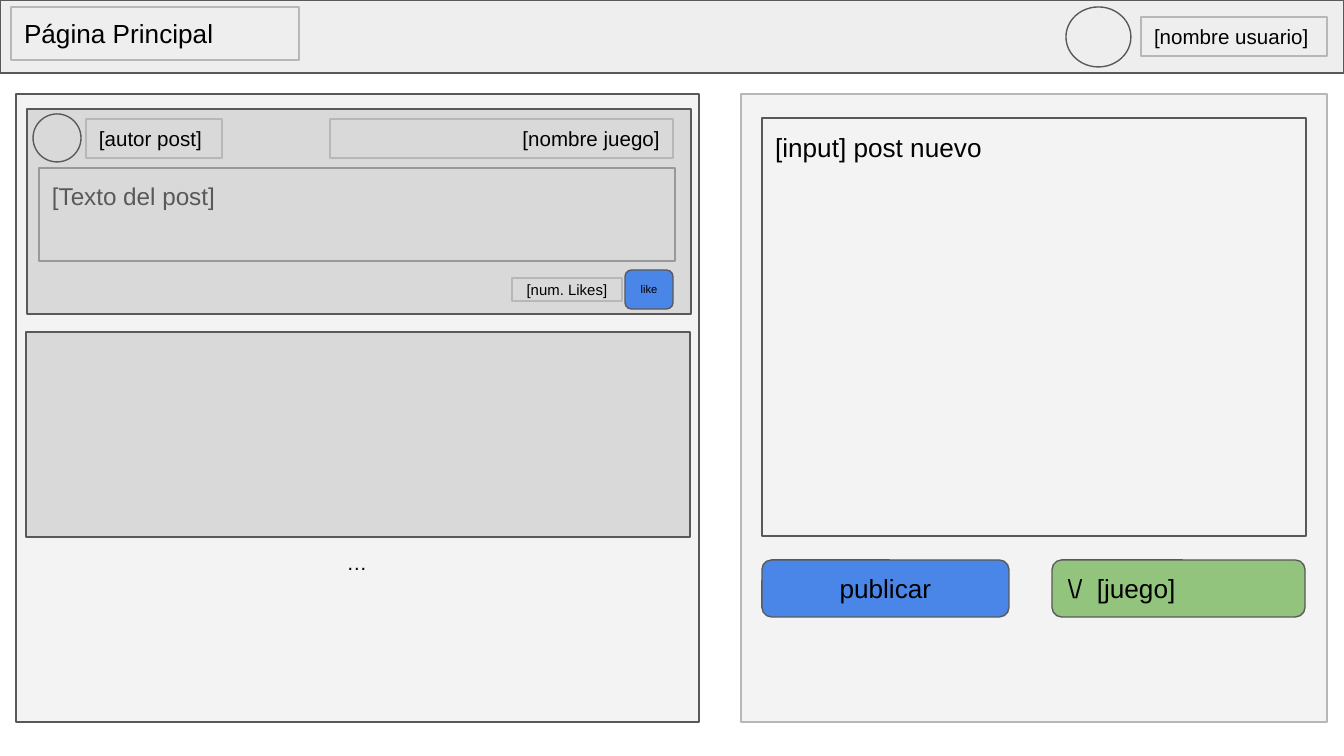
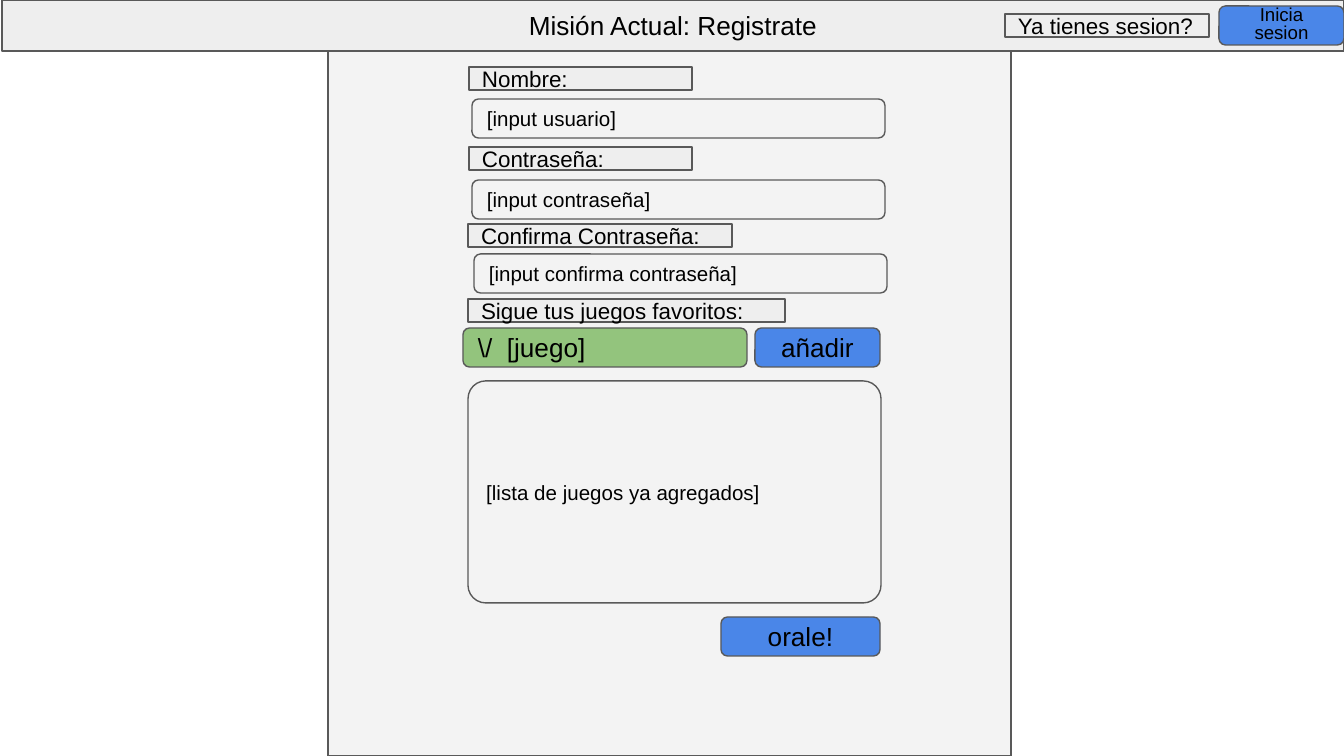
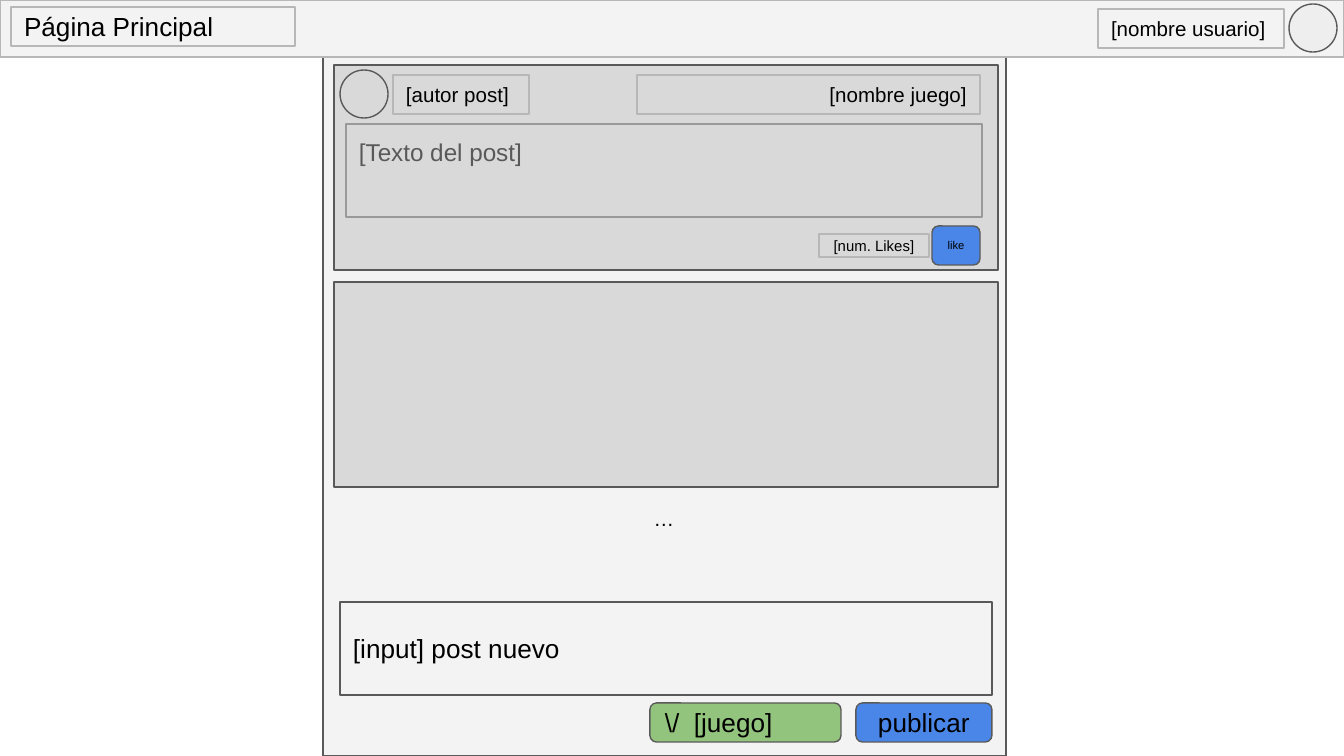
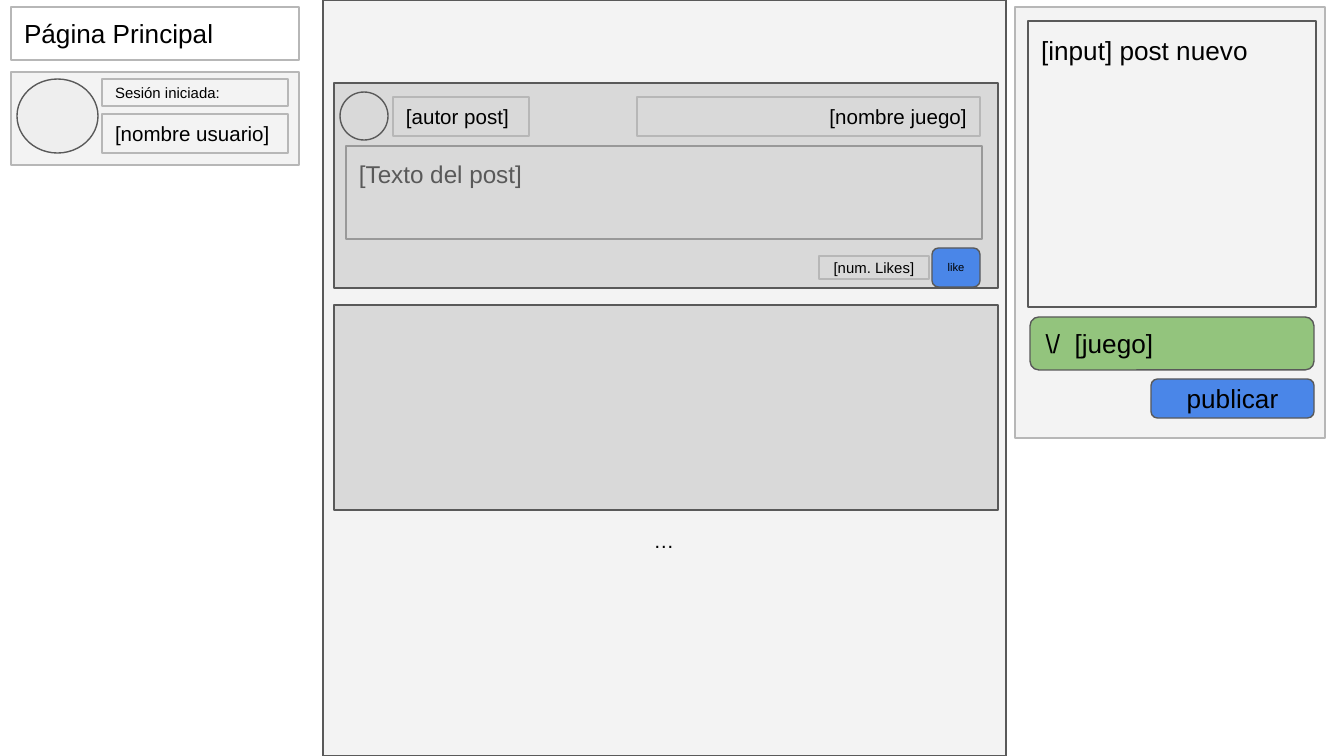
from pptx import Presentation
from pptx import util as u
from pptx.dml.color import RGBColor
from pptx.enum import shapes, text

PX_PER_INCH = 134.4
SLIDE_W, SLIDE_H = 1344, 756
INSET = 13
FONT = "Arial"

BLACK = RGBColor(0x00, 0x00, 0x00)
DARK = RGBColor(0x59, 0x59, 0x59)
MID = RGBColor(0x99, 0x99, 0x99)
SOFT = RGBColor(0xB7, 0xB7, 0xB7)
CARD = RGBColor(0xD9, 0xD9, 0xD9)
BAND = RGBColor(0xEE, 0xEE, 0xEE)
PANEL = RGBColor(0xF3, 0xF3, 0xF3)
BLUE = RGBColor(0x4A, 0x86, 0xE8)
GREEN = RGBColor(0x93, 0xC4, 0x7D)

RECT = shapes.MSO_SHAPE.RECTANGLE
ROUND = shapes.MSO_SHAPE.ROUNDED_RECTANGLE
OVAL = shapes.MSO_SHAPE.OVAL
LEFT, CENTER, RIGHT = text.PP_ALIGN.LEFT, text.PP_ALIGN.CENTER, text.PP_ALIGN.RIGHT
TOP, MIDDLE = text.MSO_ANCHOR.TOP, text.MSO_ANCHOR.MIDDLE


def px(n):
    return u.Emu(round(n * u.Inches(1) / PX_PER_INCH))


def shift(origin, box):
    """Turn a box relative to origin into a box on the slide."""
    return origin[0] + box[0], origin[1] + box[1], box[2], box[3]


def write(shape, words, size=11, color=BLACK, align=LEFT, anchor=MIDDLE, spacing=1.0):
    frame = shape.text_frame
    frame.word_wrap = True
    frame.auto_size = text.MSO_AUTO_SIZE.NONE
    frame.vertical_anchor = anchor
    frame.margin_left = frame.margin_right = px(INSET)
    frame.margin_top = frame.margin_bottom = px(INSET)
    paragraph = frame.paragraphs[0]
    paragraph.text = words
    paragraph.alignment = align
    paragraph.line_spacing = spacing
    for run in paragraph.runs:
        run.font.name = FONT
        run.font.size = u.Pt(size)
        run.font.color.rgb = color


def paint(shape, fill, line):
    if fill is None:
        shape.fill.background()
    else:
        shape.fill.solid()
        shape.fill.fore_color.rgb = fill
    shape.line.color.rgb = line
    shape.line.width = u.Pt(0.75)


def add_box(slide, box, words=None, kind=RECT, fill=None, line=DARK, **style):
    shape = slide.shapes.add_shape(kind, *map(px, box))
    shape.shadow.inherit = False
    paint(shape, fill, line)
    if words:
        write(shape, words, **style)
    return shape


def add_button(slide, box, words, size=14, **style):
    add_box(slide, box, words, ROUND, BLUE, size=size, align=CENTER, **style)


def add_game_picker(slide, box):
    add_box(slide, box, r"\/  [juego]", ROUND, GREEN, size=14)


def add_title(slide, box, words="Página Principal", fill=None, line=SOFT, align=LEFT):
    title = slide.shapes.title
    title.left, title.top, title.width, title.height = map(px, box)
    paint(title, fill, line)
    write(title, words, size=14, align=align)
    title.element.getparent().append(title.element)  # in front of what is drawn so far


def add_user(slide, avatar, name):
    add_box(slide, avatar, kind=OVAL, fill=BAND)
    add_box(slide, name, "[nombre usuario]", line=SOFT)


def add_post(slide, card, drop=0):
    """Post card; drop moves its contents down."""
    add_box(slide, card, fill=CARD)
    inner = card[0], card[1] + drop
    add_box(slide, shift(inner, (6, 5, 48, 48)), kind=OVAL)
    add_box(slide, shift(inner, (12, 59, 636, 93)), "[Texto del post]", line=MID,
            size=13, color=DARK, anchor=TOP)
    add_box(slide, shift(inner, (303, 10, 343, 39)), "[nombre juego]", line=SOFT, align=RIGHT)
    add_box(slide, shift(inner, (59, 10, 136, 39)), "[autor post]", line=SOFT)
    add_box(slide, shift(inner, (485, 169, 110, 23)), "[num. Likes]", fill=CARD, line=SOFT,
            size=8, align=CENTER)
    add_button(slide, shift(inner, (598, 161, 48, 39)), "like", size=6)


def add_feed(slide, panel, first, second, dots_top, drop=0):
    """Column of posts; first and second are the corners of the cards in the panel."""
    add_box(slide, panel, fill=PANEL)
    card_size = 664, 205
    add_post(slide, shift(panel, first + card_size), drop)
    add_box(slide, shift(panel, second + card_size), fill=CARD)
    dots = slide.shapes.add_textbox(*map(px, shift(panel, (199, dots_top, 284, 39))))
    write(dots, "…", align=CENTER)


def add_composer(slide, region, entry, picker, publish, anchor=TOP):
    add_box(slide, shift(region, entry), "[input] post nuevo", size=14, anchor=anchor)
    add_game_picker(slide, shift(region, picker))
    add_button(slide, shift(region, publish), "publicar")


def add_form(slide, panel):
    add_box(slide, panel, fill=PANEL)
    labels = [
        ("Nombre:", (141, 16, 223, 23)),
        ("Contraseña:", (141, 96, 223, 23)),
        ("Confirma Contraseña:", (140, 173, 264, 23)),
        ("Sigue tus juegos favoritos:", (140, 248, 317, 23)),
    ]
    inputs = [
        ("[input usuario]", (144, 48, 413, 39)),
        ("[input contraseña]", (144, 129, 413, 39)),
        ("[input confirma contraseña]", (146, 203, 413, 39)),
    ]
    for words, box in labels:
        add_box(slide, shift(panel, box), words, fill=BAND, size=12)
    for words, box in inputs:
        add_box(slide, shift(panel, box), words, ROUND, PANEL)
    add_game_picker(slide, shift(panel, (135, 277, 284, 39)))
    add_button(slide, shift(panel, (427, 277, 125, 39)), "añadir")
    games = add_box(slide, shift(panel, (140, 330, 413, 222)),
                    "[lista de juegos ya agregados]", ROUND, PANEL)
    games.adjustments[0] = 0.08
    add_button(slide, shift(panel, (393, 566, 159, 39)), "orale!")


def build_wide_home(slide):
    add_feed(slide, (16, 94, 683, 628), (11, 15), (10, 238), 449)
    side = 741, 94, 586, 628
    add_box(slide, side, fill=PANEL, line=SOFT)
    add_composer(slide, side, entry=(21, 24, 544, 418), picker=(311, 466, 253, 57),
                 publish=(21, 466, 247, 57))
    add_box(slide, (0, 0, SLIDE_W, 73), fill=BAND)
    add_title(slide, (11, 7, 288, 53))
    add_user(slide, avatar=(1066, 7, 65, 60), name=(1141, 17, 186, 39))


def build_sign_up(slide):
    add_form(slide, (328, 51, 683, 705))
    add_title(slide, (2, 0, SLIDE_W - 2, 51), "Misión Actual: Registrate",
              fill=BAND, line=DARK, align=CENTER)
    add_button(slide, (1219, 6, 125, 39), "Inicia\vsesion", size=10, spacing=0.8)
    add_box(slide, (1005, 14, 204, 23), "Ya tienes sesion?", fill=BAND, size=12)


def build_single_column_home(slide):
    column = 323, 0, 683, SLIDE_H
    add_feed(slide, column, (11, 65), (11, 282), 499)
    add_composer(slide, column, entry=(17, 602, 652, 93), picker=(327, 703, 191, 39),
                 publish=(533, 703, 136, 39), anchor=MIDDLE)
    add_box(slide, (0, 0, SLIDE_W, 57), fill=PANEL, line=SOFT)
    add_user(slide, avatar=(1289, 4, 48, 48), name=(1098, 9, 186, 39))
    add_title(slide, (11, 7, 284, 39))


def build_three_column_home(slide):
    add_feed(slide, (323, 0, 683, SLIDE_H), (11, 83), (11, 305), 521, drop=4)
    add_title(slide, (11, 7, 288, 53))
    session = 11, 72, 288, 93
    add_box(slide, session, fill=PANEL, line=SOFT)
    add_user(slide, shift(session, (6, 7, 81, 74)), shift(session, (91, 42, 186, 39)))
    add_box(slide, shift(session, (91, 7, 186, 27)), "Sesión iniciada:", line=SOFT, size=8)
    side = 1015, 7, 310, 431
    add_box(slide, side, fill=PANEL, line=SOFT)
    add_composer(slide, side, entry=(13, 14, 288, 286), picker=(15, 310, 284, 53),
                 publish=(136, 372, 163, 39))


def main():
    deck = Presentation()
    deck.slide_width, deck.slide_height = px(SLIDE_W), px(SLIDE_H)
    title_only = deck.slide_layouts[5]
    for build in (build_wide_home, build_sign_up, build_single_column_home,
                  build_three_column_home):
        build(deck.slides.add_slide(title_only))
    deck.save("out.pptx")


if __name__ == "__main__":
    main()
